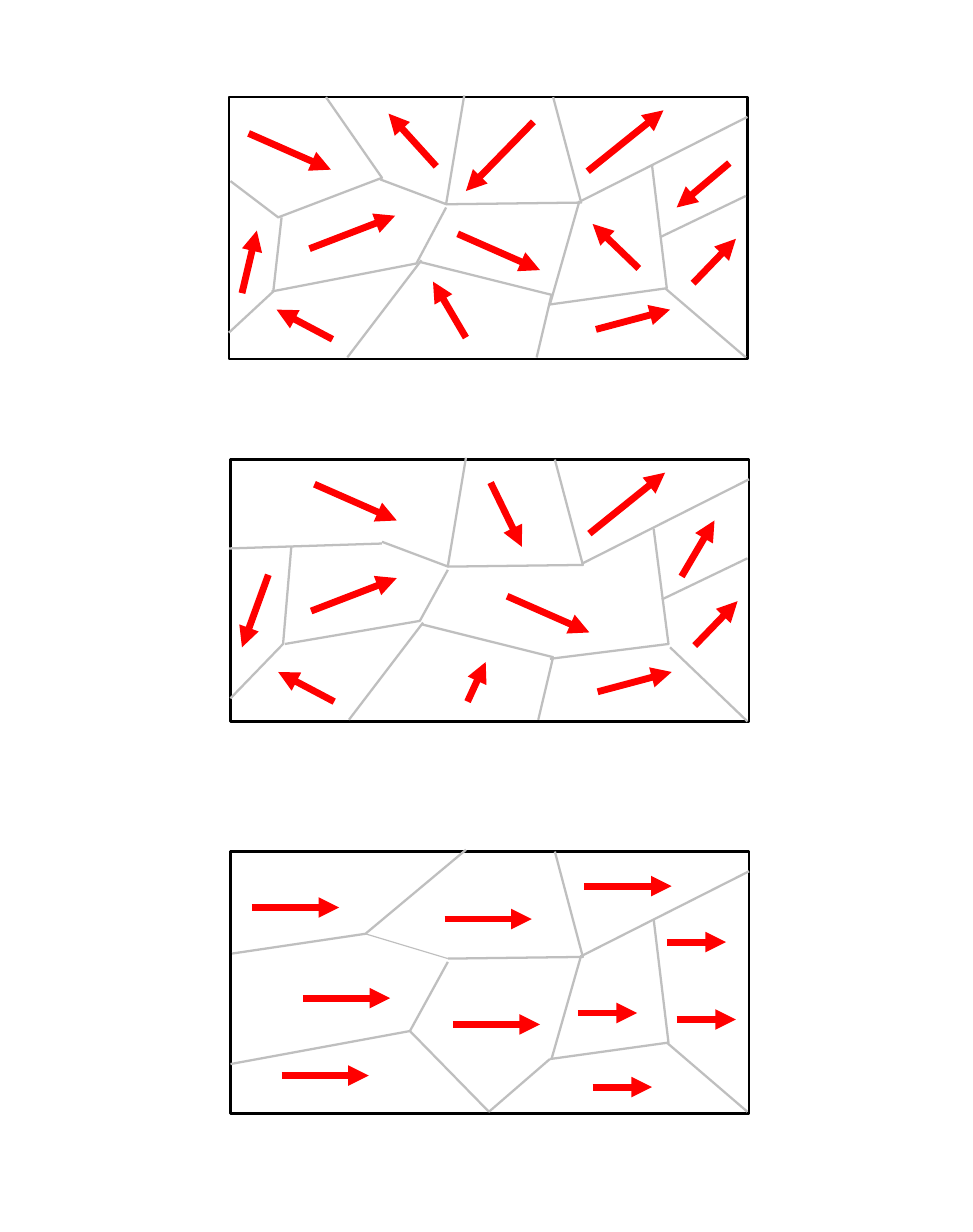
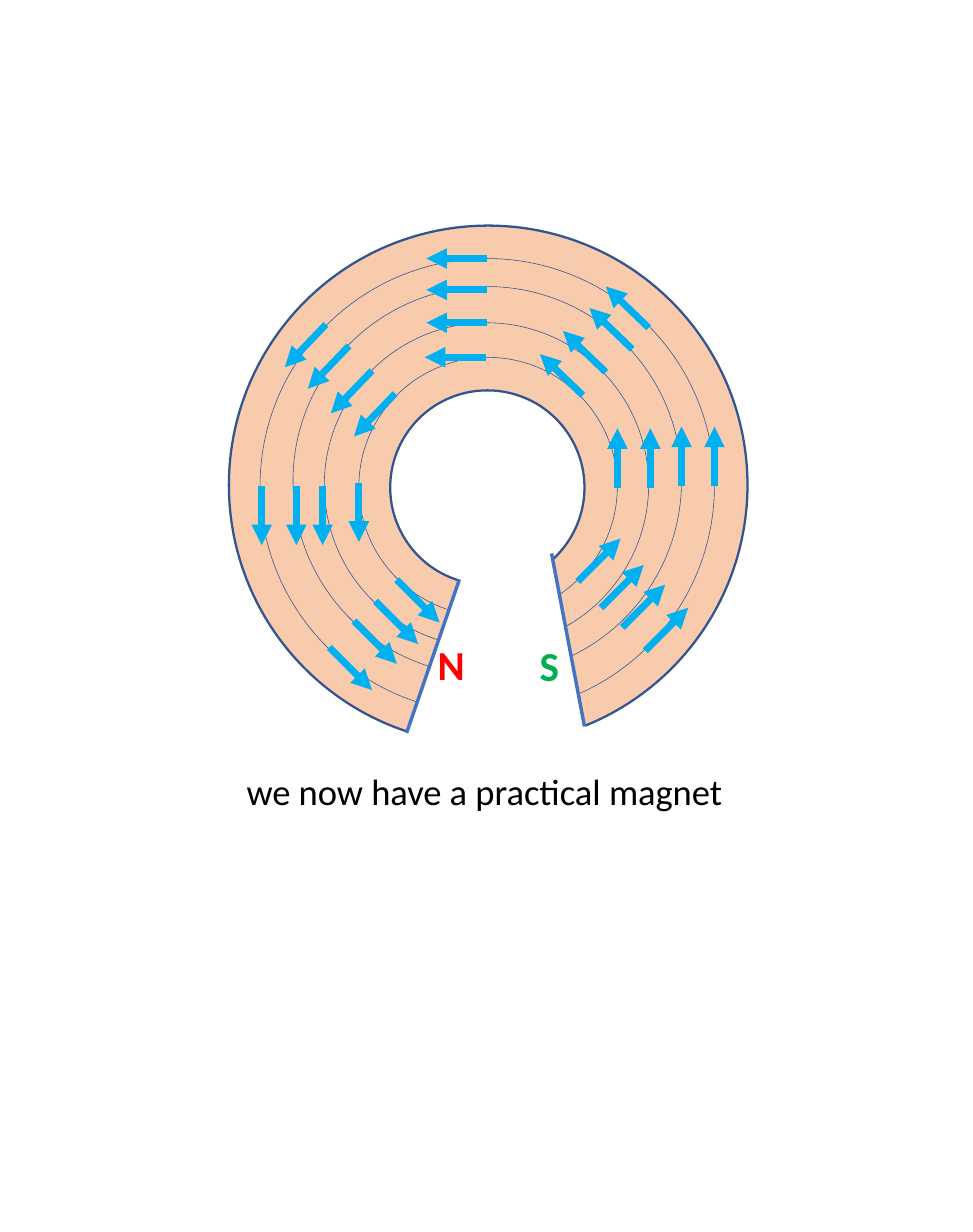
from dataclasses import dataclass

from lxml.etree import SubElement
from pptx import Presentation
from pptx.dml.color import RGBColor
from pptx.enum.shapes import MSO_CONNECTOR as Link, MSO_SHAPE as Kind
from pptx.oxml.ns import qn
from pptx.util import Inches, Pt

BLACK, WHITE, GREY, RED = "000000", "FFFFFF", "BFBFBF", "FF0000"
PEACH, NAVY, BLUE, SKY, GREEN = "F8CBAD", "325491", "4472C4", "00B0F0", "00B050"
Point = tuple[float, float]
Wall = list[Point]


@dataclass
class Panel:
    """A block of domains; walls and arrows are measured from its corner."""
    left: float
    top: float
    walls: list[Wall]
    arrows: list[Wall]


@dataclass
class Ring:
    left: float
    top: float
    size: float
    width: float = 0.25
    fill: str | None = None


@dataclass
class Fan:
    """Parallel arrows that share one step from tail to head."""
    step: Point
    tails: list[Point]

    def arrows(self) -> list[Wall]:
        dx, dy = self.step
        return [[(x, y), (x + dx, y + dy)] for x, y in self.tails]


@dataclass
class Label:
    text: str
    left: float
    top: float
    width: float
    height: float
    color: str
    size: int
    bold: bool = False


# Slide 1: domains
WALLS = [
    [(1.32, 0.65), (2.14, 0.64), (1.97, 0)],
    [(2.14, 0.63), (3.15, 0.12)],
]
EARLY = [
    [(0.92, 0.5), (1.32, 0.65), (1.43, -0.01)],
    [(1.17, 0.99), (0.72, 1.58)],
    [(1.16, 1), (1.96, 1.2), (1.87, 1.58)],
    [(2.62, 0.85), (3.14, 0.6)],
]
RIGHT = [
    [(2.13, 0.63), (1.95, 1.26)],
    [(1.94, 1.26), (2.66, 1.16), (2.57, 0.41)],
    [(2.65, 1.16), (3.14, 1.58)],
]
STEADY = [
    [(0.63, 1.47), (0.29, 1.29)],
    [(0.49, 0.92), (1.01, 0.72)],
    [(2.23, 1.41), (2.68, 1.29)],
    [(2.18, 0.45), (2.64, 0.08)],
    [(2.82, 1.13), (3.08, 0.86)],
]
LONG = Fan((0.53, 0), [(0.13, 0.34), (0.44, 0.89), (0.31, 1.36),
                       (1.35, 1.05), (1.3, 0.41), (2.15, 0.21)])
SHORT = Fan((0.36, 0), [(2.11, 0.98), (2.65, 0.55), (2.71, 1.02), (2.2, 1.43)])
THIN = [(0.82, 0.5), (1.32, 0.65)]

PANELS = [
    Panel(1.39, 0.59, WALLS + EARLY + RIGHT + [
        [(0.59, 0), (0.93, 0.49), (0.3, 0.73), (0.01, 0.51)],
        [(0.32, 0.73), (0.27, 1.18), (0, 1.43)],
        [(0.26, 1.18), (1.14, 1.01), (1.32, 0.67)],
    ], STEADY + [
        [(0.08, 1.19), (0.17, 0.81)],
        [(0.12, 0.22), (0.62, 0.44)],
        [(1.39, 0.83), (1.89, 1.05)],
        [(1.85, 0.15), (1.44, 0.57)],
        [(1.44, 1.46), (1.24, 1.12)],
        [(2.49, 1.04), (2.21, 0.77)],
        [(3.04, 0.4), (2.72, 0.67)],
        [(1.26, 0.42), (0.97, 0.1)],
    ]),
    Panel(1.4, 2.79, WALLS + EARLY + [
        [(0.37, 0.53), (0.32, 1.12), (0, 1.45)],
        [(0.33, 1.12), (1.15, 0.98), (1.32, 0.67)],
        [(1.94, 1.21), (2.66, 1.12), (2.57, 0.42)],
        [(2.67, 1.14), (3.14, 1.59)],
        [(-0.01, 0.54), (0.92, 0.51)],
    ], STEADY + [
        [(0.51, 0.15), (1.01, 0.37)],
        [(1.68, 0.83), (2.18, 1.05)],
        [(1.58, 0.14), (1.77, 0.53)],
        [(1.44, 1.47), (1.55, 1.23)],
        [(2.74, 0.71), (2.94, 0.37)],
        [(0.23, 0.7), (0.07, 1.14)],
    ]),
    Panel(1.4, 5.17, WALLS + RIGHT + [
        [(0.01, 0.62), (0.82, 0.5), (1.43, -0.01)],
        [(0, 1.29), (1.09, 1.09), (1.32, 0.67)],
        [(1.09, 1.09), (1.57, 1.58)],
        [(1.94, 1.26), (1.57, 1.58)],
        THIN,
    ], LONG.arrows() + SHORT.arrows()),
]

# Slide 2: magnet
RINGS = [
    Ring(1.39, 1.37, 3.15, 1, PEACH),
    Ring(2.37, 2.37, 1.18, 1, WHITE),
    Ring(2.18, 2.17, 1.57),
    Ring(1.97, 1.96, 1.97),
    Ring(1.78, 1.74, 2.36),
    Ring(1.58, 1.57, 2.76),
]
FANS = [
    Fan((-0.37, 0), [(2.96, 1.57), (2.96, 1.76), (2.96, 1.96), (2.95, 2.17)]),
    Fan((0, -0.36), [(3.75, 2.96), (3.95, 2.96), (4.14, 2.95), (4.34, 2.95)]),
    Fan((0, 0.36), [(1.59, 2.95), (1.8, 2.95), (1.96, 2.95), (2.18, 2.93)]),
    Fan((-0.25, 0.26), [(2.4, 2.39), (2.26, 2.25), (2.12, 2.1), (1.98, 1.97)]),
    Fan((-0.26, -0.25), [(3.54, 2.4), (3.68, 2.26), (3.84, 2.12), (3.94, 1.99)]),
    Fan((0.26, 0.26), [(2.41, 3.52), (2.28, 3.65), (2.15, 3.77), (2, 3.93)]),
    Fan((0.26, -0.26), [(3.92, 3.95), (3.78, 3.81), (3.65, 3.69), (3.51, 3.53)]),
]
GAP = [(3.35, 3.36), (3.17, 3.49), (2.85, 3.39), (2.47, 4.45),
       (2.85, 4.81), (3.46, 4.79), (3.59, 4.65)]
POLES = [[(2.79, 3.52), (2.47, 4.45)], [(3.35, 3.36), (3.55, 4.41)]]
LABELS = [
    Label("N", 2.56, 3.83, 0.36, 0.4, RED, 18, True),
    Label("S", 3.18, 3.84, 0.32, 0.4, GREEN, 18, True),
    Label("we now have a practical magnet", 1.4, 4.62, 3.13, 0.37, BLACK, 16),
]


def rgb(code: str) -> RGBColor:
    return RGBColor.from_string(code)


def stroke(item, color: str, width: float) -> None:
    item.line.color.rgb = rgb(color)
    item.line.width = Pt(width)


def style(shape, color: str, width: float, fill: str | None = None) -> None:
    shape.shadow.inherit = False
    stroke(shape, color, width)
    if fill:
        shape.fill.solid()
        shape.fill.fore_color.rgb = rgb(fill)
    else:
        shape.fill.background()


def line(slide, ends: Wall, color: str, width: float, head: bool = False) -> None:
    (x1, y1), (x2, y2) = ends
    link = slide.shapes.add_connector(
        Link.STRAIGHT, Inches(x1), Inches(y1), Inches(x2), Inches(y2))
    stroke(link, color, width)
    if head:
        SubElement(link.line._get_or_add_ln(), qn("a:tailEnd"), type="triangle")
    SubElement(link._element.spPr, qn("a:effectLst"))


def outline(slide, points: Wall, color: str, fill: str | None = None) -> None:
    """Draw a bent line, closed when it has a fill."""
    spots = [(Inches(x), Inches(y)) for x, y in points]
    pen = slide.shapes.build_freeform(*spots[0])
    pen.add_line_segments(spots[1:], close=fill is not None)
    style(pen.convert_to_shape(), color, 1, fill)


def block(slide, panel: Panel) -> None:
    def place(points: Wall) -> Wall:
        return [(panel.left + x, panel.top + y) for x, y in points]

    frame = slide.shapes.add_shape(
        Kind.RECTANGLE, Inches(panel.left), Inches(panel.top),
        Inches(3.15), Inches(1.59))
    style(frame, BLACK, 1)
    for wall in panel.walls:
        if len(wall) == 2:
            line(slide, place(wall), GREY, 0.5 if wall is THIN else 1)
        else:
            outline(slide, place(wall), GREY)
    for arrow in panel.arrows:
        line(slide, place(arrow), RED, 3, True)


def circle(slide, ring: Ring) -> None:
    shape = slide.shapes.add_shape(
        Kind.OVAL, Inches(ring.left), Inches(ring.top),
        Inches(ring.size), Inches(ring.size))
    style(shape, NAVY, ring.width, ring.fill)


def write(slide, label: Label) -> None:
    box = slide.shapes.add_textbox(
        Inches(label.left), Inches(label.top),
        Inches(label.width), Inches(label.height))
    box.text_frame.word_wrap = False
    run = box.text_frame.paragraphs[0].add_run()
    run.text = label.text
    form = {"name": "Calibri", "size": Pt(label.size), "bold": label.bold}
    for key, value in form.items():
        setattr(run.font, key, value)
    run.font.color.rgb = rgb(label.color)


def magnet(slide) -> None:
    for ring in RINGS:
        circle(slide, ring)
    for fan in FANS:
        for arrow in fan.arrows():
            line(slide, arrow, SKY, 3, True)
    outline(slide, GAP, WHITE, WHITE)
    for pole in POLES:
        line(slide, pole, BLUE, 1.5)
    for label in LABELS:
        write(slide, label)


def main() -> None:
    deck = Presentation()
    deck.slide_width, deck.slide_height = Inches(5.91), Inches(7.48)
    blank = deck.slide_layouts[6]
    first = deck.slides.add_slide(blank)
    for panel in PANELS:
        block(first, panel)
    magnet(deck.slides.add_slide(blank))
    deck.save("out.pptx")


if __name__ == "__main__":
    main()
